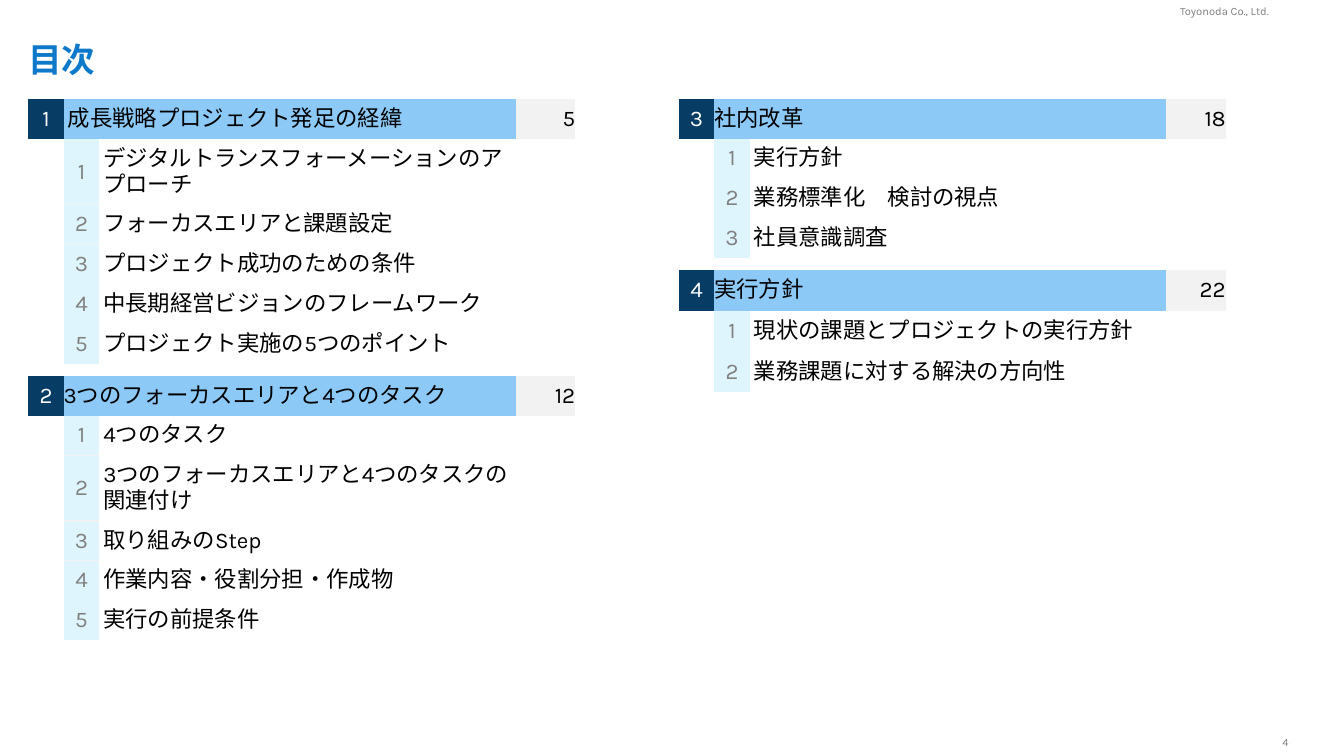
"""Build the contents slide with two columns of numbered chapters."""
import lxml.etree
import pptx
import pptx.dml.color
import pptx.enum.text
import pptx.oxml
import pptx.oxml.ns
import pptx.util

ALIGN = pptx.enum.text.PP_ALIGN
MIDDLE = pptx.enum.text.MSO_ANCHOR.MIDDLE
FONT = "Karla"
NAVY, SKY, PALE, MIST = "073C65", "8CC9F7", "DFF5FD", "F2F2F2"
BLUE, GREY, WHITE, BLACK = "0D79CA", "808080", "FFFFFF", "000000"
SLIDE_WIDTH, SLIDE_HEIGHT = pptx.util.Inches(13.33), pptx.util.Inches(7.5)
INDENT = pptx.util.Inches(0.04)
COLUMN_PERCENTS = (6.5, 6.5, 76.15, 10.85)
GAP_PERCENT = 1.6
WRAPPED_PERCENT = 8.7
LINE_CAPACITY = 18
NO_STYLE = "{2D5ABB26-0587-4C30-8999-92F81FD0307C}"

LEFT_CHAPTERS = [
    ("1", "成長戦略プロジェクト発足の経緯", "5", INDENT, 5.27, [
        "デジタルトランスフォーメーションのアプローチ",
        "フォーカスエリアと課題設定",
        "プロジェクト成功のための条件",
        "中長期経営ビジョンのフレームワーク",
        "プロジェクト実施の5つのポイント"]),
    ("2", "3つのフォーカスエリアと4つのタスク", "12", 0, 5.25, [
        "4つのタスク",
        "3つのフォーカスエリアと4つのタスクの関連付け",
        "取り組みのStep",
        "作業内容・役割分担・作成物 ",
        "実行の前提条件"]),
]
RIGHT_CHAPTERS = [
    ("3", "社内改革", "18", 0, 5.25, [
        "実行方針", "業務標準化　検討の視点", "社員意識調査"]),
    ("4", "実行方針", "22", 0, 5.4, [
        "現状の課題とプロジェクトの実行方針", "業務課題に対する解決の方向性"]),
]
LEFT_SPARE_ROWS = [GAP_PERCENT, 5.25, 5.25, 5.25]


def apply(target, **values):
    """Set each given attribute on the target."""
    for key, value in values.items():
        setattr(target, key, value)


def color(hex_code):
    """Turn a hex string into a colour."""
    return pptx.dml.color.RGBColor.from_string(hex_code)


def place(box):
    """Turn a box in percent of the slide into lengths."""
    sides = (SLIDE_WIDTH, SLIDE_HEIGHT) * 2
    return [round(side * share / 100) for side, share in zip(sides, box)]


def write(frame, words, size, hue, align=ALIGN.LEFT, bold=False):
    """Put one styled line of words into a text frame."""
    paragraph = frame.paragraphs[0]
    paragraph.alignment = align
    run = paragraph.add_run()
    apply(run, text=words)
    apply(run.font, size=pptx.util.Pt(size), name=FONT, bold=bold)
    run.font.color.rgb = color(hue)
    lxml.etree.SubElement(run._r.get_or_add_rPr(), pptx.oxml.ns.qn("a:ea"),
                          typeface=FONT)
    return paragraph


def add_title(slide, box, words):
    """Place and format the slide title."""
    title = slide.shapes.title
    apply(title, **dict(zip(("left", "top", "width", "height"), place(box))))
    edge = pptx.util.Inches(0.05)
    apply(title.text_frame, margin_left=0, margin_right=0, margin_top=edge,
          margin_bottom=edge, vertical_anchor=MIDDLE, word_wrap=True,
          auto_size=pptx.enum.text.MSO_AUTO_SIZE.NONE)
    write(title.text_frame, words, 24, BLUE, bold=True).line_spacing = 0.9


def add_label(slide, box, words, wrap, align):
    """Add a small grey label at the edge of the slide."""
    frame = slide.shapes.add_textbox(*place(box)).text_frame
    apply(frame, margin_left=0, margin_right=0, margin_top=0, margin_bottom=0,
          word_wrap=wrap)
    write(frame, words, 8, GREY, align)


def clear_cell(cell):
    """Strip fill and margins so that an empty cell can be very low."""
    apply(cell, margin_left=0, margin_right=0, margin_top=0, margin_bottom=0,
          vertical_anchor=MIDDLE)
    cell.fill.background()
    end = pptx.oxml.parse_xml(
        f'<a:endParaRPr {pptx.oxml.ns.nsdecls("a")} sz="100"/>')
    cell.text_frame.paragraphs[0]._p.append(end)


def fill_cell(cell, words, hue, fill=None, align=ALIGN.LEFT, indent=0):
    """Write a table entry on its fill."""
    cell.margin_left = indent
    if fill:
        cell.fill.solid()
        cell.fill.fore_color.rgb = color(fill)
    write(cell.text_frame, words, 16, hue, align)


def add_border(cell, edge):
    """Draw a thin pale border on one edge of a cell."""
    cell._tc.get_or_add_tcPr().insert(0, pptx.oxml.parse_xml(
        f'<a:{edge} {pptx.oxml.ns.nsdecls("a")} w="12700"><a:solidFill>'
        f'<a:srgbClr val="{MIST}"/></a:solidFill></a:{edge}>'))


def fill_chapter(table, start, chapter):
    """Fill the heading and entries of a chapter and return the next row."""
    number, heading, page, indent, _, entries = chapter
    table.cell(start, 1).merge(table.cell(start, 2))
    fill_cell(table.cell(start, 0), number, WHITE, NAVY, ALIGN.CENTER)
    fill_cell(table.cell(start, 1), heading, BLACK, SKY, indent=indent)
    fill_cell(table.cell(start, 3), page, BLACK, MIST, ALIGN.RIGHT, INDENT)
    for order, entry in enumerate(entries, 1):
        fill_cell(table.cell(start + order, 1), str(order), GREY, PALE,
                  ALIGN.CENTER)
        fill_cell(table.cell(start + order, 2), entry, BLACK, indent=INDENT)
    for order, pair in enumerate(zip(entries, entries[1:]), 1):
        if max(map(len, pair)) > LINE_CAPACITY:
            add_border(table.cell(start + order, 1), "lnB")
            add_border(table.cell(start + order + 1, 1), "lnT")
    return start + len(entries) + 1


def row_percents(chapters):
    """List the row heights, with a gap between chapters."""
    heights = []
    for *_, usual, entries in chapters:
        heights += [GAP_PERCENT] * bool(heights) + [usual]
        heights += [WRAPPED_PERCENT if len(entry) > LINE_CAPACITY else usual
                    for entry in entries]
    return heights


def add_chapters(slide, left, top, width, chapters, spare_rows):
    """Add a table of chapters, with spare rows at its end."""
    heights = row_percents(chapters) + spare_rows
    box = place((left, top, width, sum(heights)))
    table = slide.shapes.add_table(
        len(heights), len(COLUMN_PERCENTS), *box).table
    apply(table, first_row=False, horz_banding=False)
    table._tbl.tblPr.find(pptx.oxml.ns.qn("a:tableStyleId")).text = NO_STYLE
    for column, share in zip(table.columns, COLUMN_PERCENTS):
        column.width = round(box[2] * share / 100)
    for row, share in zip(table.rows, heights):
        row.height = round(SLIDE_HEIGHT * share / 100)
    for cell in table.iter_cells():
        clear_cell(cell)
    start = 0
    for chapter in chapters:
        start = fill_chapter(table, start, chapter) + 1


def build_contents(deck):
    """Add the contents slide."""
    slide = deck.slides.add_slide(deck.slide_layouts[5])
    add_label(slide, (87.8, 0.53, 6.98, 1.73), "Toyonoda Co., Ltd.", False,
              ALIGN.LEFT)
    add_label(slide, (94, 97.25, 3.3, 1.73), "4", True, ALIGN.CENTER)
    add_title(slide, (2.1, 4.2, 95.12, 7.87), "目次")
    for left, chapters, spare_rows in ((2.1, LEFT_CHAPTERS, LEFT_SPARE_ROWS),
                                       (50.5, RIGHT_CHAPTERS, [])):
        add_chapters(slide, left, 13.1, 40.7, chapters, spare_rows)


deck = pptx.Presentation()
apply(deck, slide_width=SLIDE_WIDTH, slide_height=SLIDE_HEIGHT)
build_contents(deck)
deck.save("out.pptx")
